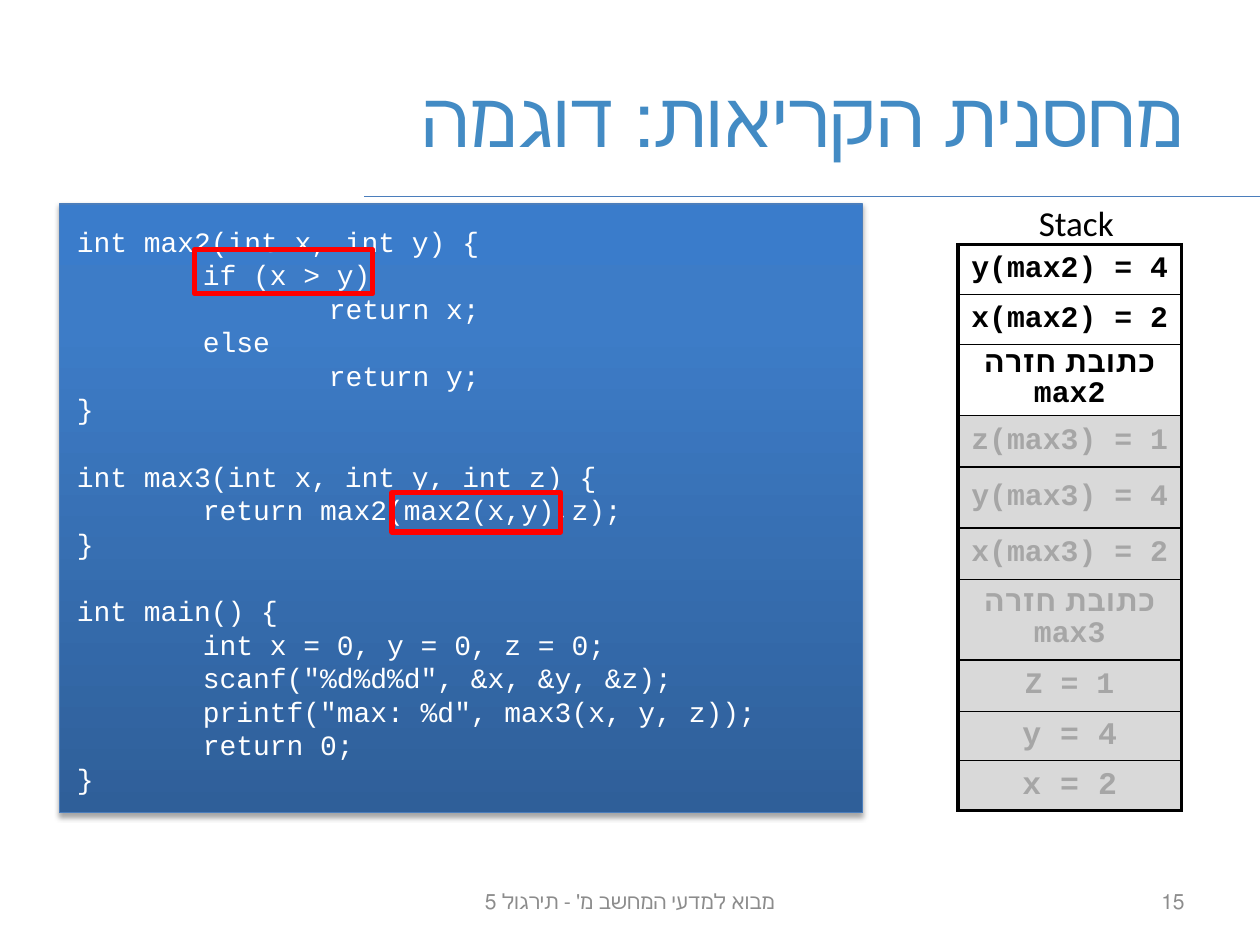
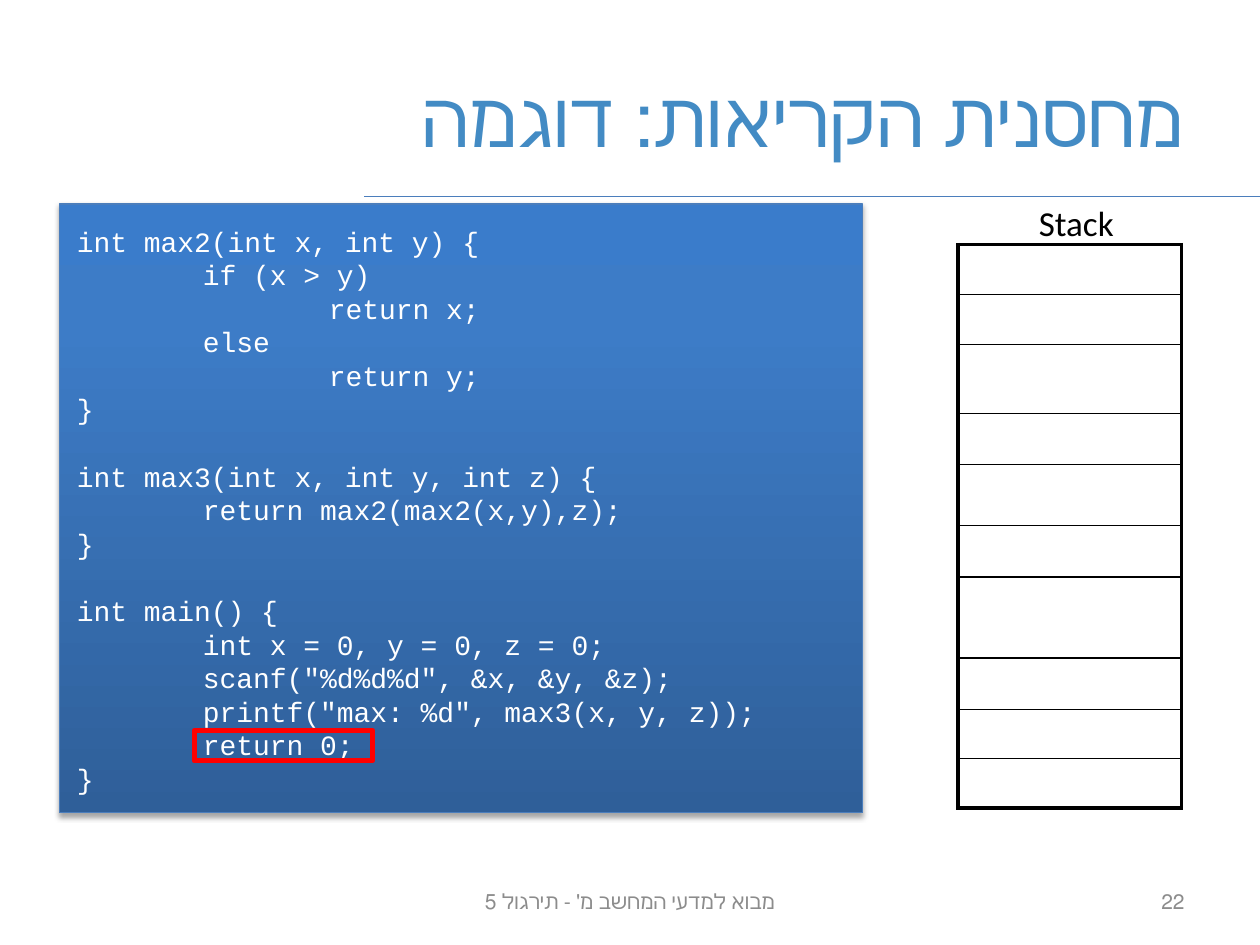
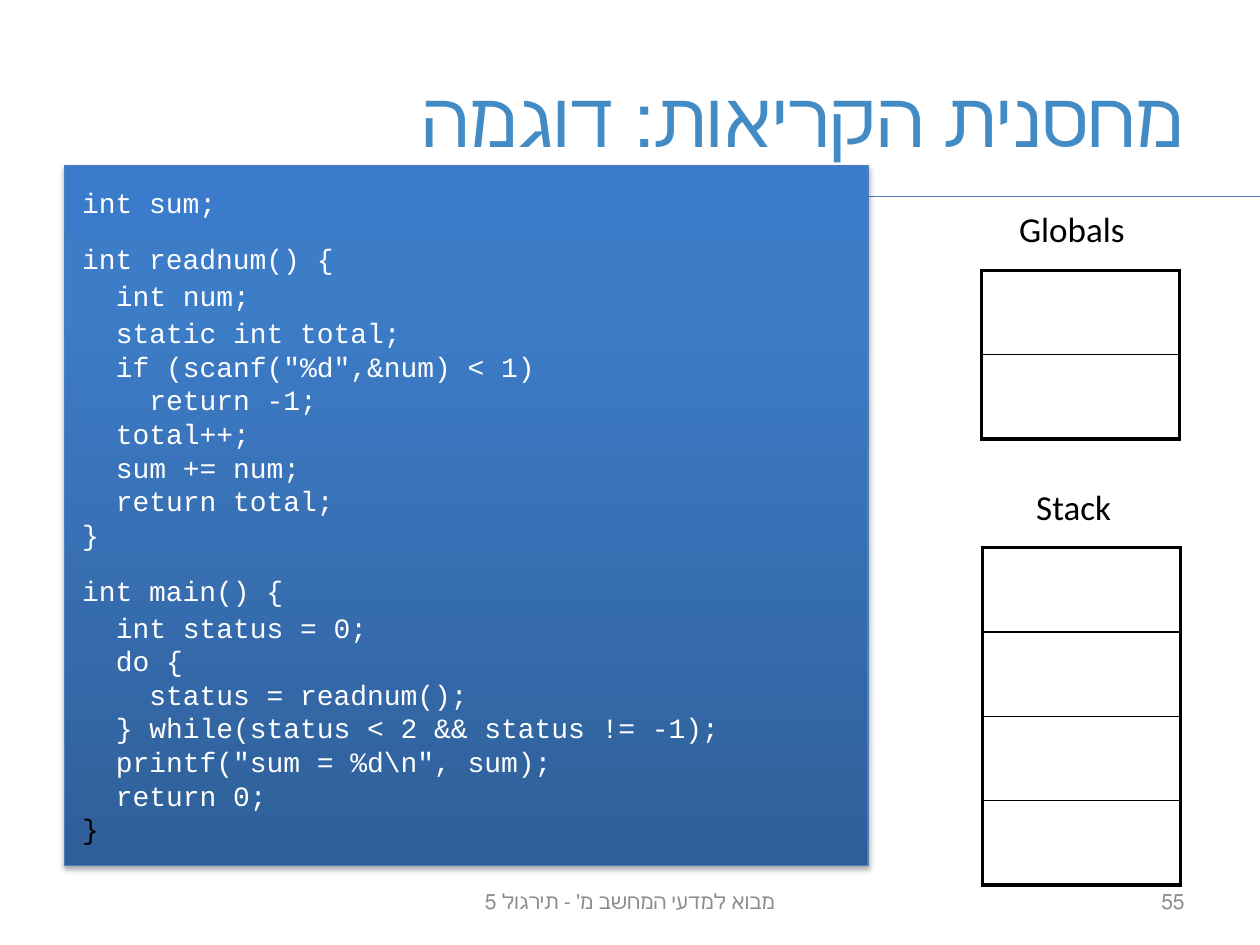
from lxml import etree
from pptx import Presentation
from pptx.dml.color import RGBColor
from pptx.enum.shapes import MSO_CONNECTOR, MSO_SHAPE
from pptx.enum.text import MSO_ANCHOR, PP_ALIGN
from pptx.oxml import parse_xml
from pptx.oxml.ns import nsdecls, qn
from pptx.util import Pt

STRAIGHT = MSO_CONNECTOR.STRAIGHT
RECTANGLE = MSO_SHAPE.RECTANGLE
TOP, MIDDLE = MSO_ANCHOR.TOP, MSO_ANCHOR.MIDDLE
LEFT, CENTER, RIGHT = PP_ALIGN.LEFT, PP_ALIGN.CENTER, PP_ALIGN.RIGHT

BLACK = RGBColor(0, 0, 0)
WHITE = RGBColor(255, 255, 255)
RED = RGBColor(255, 0, 0)
TITLE_BLUE = RGBColor(0x43, 0x8B, 0xC4)
LINE_BLUE = RGBColor(0x4B, 0x7E, 0xBC)
FOOTER_GRAY = RGBColor(0x8C, 0x8C, 0x8C)
OLD_TEXT = RGBColor(0xA6, 0xA6, 0xA6)
OLD_FILL = RGBColor(0xD9, 0xD9, 0xD9)
CODE_GRADIENT = ((0, RGBColor(0x2F, 0x5F, 0x99)), (80, RGBColor(0x3D, 0x7C, 0xC7)),
                 (100, RGBColor(0x3A, 0x7C, 0xCB)))

TITLE_FONT = {"name": "Arial", "size": Pt(44)}
FOOTER_FONT = {"name": "Calibri", "size": Pt(12)}
LABEL_FONT = {"name": "Calibri", "size": Pt(20)}
CODE_FONT = {"name": "Courier New", "size": Pt(16)}
CELL_FONT = {"name": "Courier New", "size": Pt(17), "bold": True}
SMALL_CELL_FONT = CELL_FONT | {"size": Pt(18)}

TITLE = "מחסנית הקריאות: דוגמה"
FOOTER = "מבוא למדעי המחשב מ' - תירגול 5"
LINE_PITCH = 19.2

MAX_CODE = """\
int max2(int x, int y) {
  if (x > y)
    return x;
  else
    return y;
}

int max3(int x, int y, int z) {
  return max2(max2(x,y),z);
}

int main() {
  int x = 0, y = 0, z = 0;
  scanf("%d%d%d", &x, &y, &z);
  printf("max: %d", max3(x, y, z));
  return 0;
}"""

SUM_CODE = """\
int sum;

int readnum() {
  int num;
  static int total;
  if (scanf("%d",&num) < 1)
    return -1;
  total++;
  sum += num;
  return total;
}

int main() {
  int status = 0;
  do {
    status = readnum();
  } while(status < 2 && status != -1);
  printf("sum = %d\\n", sum);
  return 0;
}"""

STACK_HEIGHTS = (28.5, 28.5, 39.5, 29.25, 35, 29.25, 46.25, 29.5, 28, 28.5)
ACTIVE_CALL = ("y(max2) = 4", "x(max2) = 2", "כתובת חזרה max2")
OLD_CALLS = ("z(max3) = 1", "y(max3) = 4", "x(max3) = 2", "כתובת חזרה max3", "Z = 1")
MAIN_VALUES = ("y = 4", "x = 2")
STACK_CELLS = ([(text, CELL_FONT, BLACK, None) for text in ACTIVE_CALL]
               + [(text, CELL_FONT, OLD_TEXT, OLD_FILL) for text in OLD_CALLS]
               + [(text, SMALL_CELL_FONT, OLD_TEXT, OLD_FILL) for text in MAIN_VALUES])


def points(*lengths):
    return [Pt(length) for length in lengths]


def set_all(target, values):
    for name, value in values.items():
        setattr(target, name, value)


def write(para, text, font, color, align=LEFT, rtl=False):
    para.alignment = align
    if rtl:
        para._p.get_or_add_pPr().set("rtl", "1")
    span = para.add_run()
    span.text = text
    set_all(span.font, font)
    span.font.color.rgb = color


def add_text(page, box, text, font, color, align=LEFT, rtl=False, wrap=True, anchor=TOP):
    frame = page.shapes.add_textbox(*points(*box)).text_frame
    set_all(frame, {"word_wrap": wrap, "vertical_anchor": anchor})
    write(frame.paragraphs[0], text, font, color, align, rtl)


def add_page(deck, number):
    page = deck.slides.add_slide(deck.slide_layouts[5])
    rule = page.shapes.add_connector(STRAIGHT, *points(720, 112.5, 208, 112.5))
    rule.line.color.rgb = LINE_BLUE
    rule.line.width = Pt(0.75)
    etree.SubElement(rule._element.spPr, qn("a:effectLst"))
    title = page.shapes.title
    set_all(title, dict(zip(("left", "top", "width", "height"), points(36, 21.6, 648, 90))))
    title.text_frame.vertical_anchor = MIDDLE
    write(title.text_frame.paragraphs[0], TITLE, TITLE_FONT, TITLE_BLUE, RIGHT, True)
    for box, text, align in (((246, 500.5, 228, 28.75), FOOTER, CENTER),
                             ((516, 500.5, 168, 28.75), str(number), RIGHT)):
        add_text(page, box, text, FOOTER_FONT, FOOTER_GRAY, align, True, anchor=MIDDLE)
    return page


def style_panel(panel):
    properties = panel._element.spPr
    stops = "".join(f'<a:gs pos="{place * 1000}"><a:srgbClr val="{color}"/></a:gs>'
                    for place, color in CODE_GRADIENT)
    panel.line.color.rgb = LINE_BLUE
    panel.line.width = Pt(0.75)
    properties.find(qn("a:ln")).addprevious(parse_xml(
        f'<a:gradFill {nsdecls("a")} rotWithShape="1"><a:gsLst>{stops}</a:gsLst>'
        '<a:lin ang="16200000" scaled="0"/></a:gradFill>'))
    properties.append(parse_xml(
        f'<a:effectLst {nsdecls("a")}><a:outerShdw blurRad="{Pt(3.1)}" dist="{Pt(1.8)}" '
        'dir="5400000" rotWithShape="0"><a:srgbClr val="000000"><a:alpha val="35000"/>'
        '</a:srgbClr></a:outerShdw></a:effectLst>'))


def add_code(page, box, code, indent, gap, spaced=(), last_color=WHITE):
    panel = page.shapes.add_shape(RECTANGLE, *points(*box))
    style_panel(panel)
    frame = panel.text_frame
    set_all(frame, {"word_wrap": True, "vertical_anchor": TOP,
                    "margin_left": Pt(10), "margin_right": Pt(10),
                    "margin_top": Pt(11.5), "margin_bottom": Pt(6.5)})
    lines = code.split("\n")
    para = frame.paragraphs[0]
    before = 0
    for index, line in enumerate(lines):
        text = line.strip()
        if not text:
            before = gap
            continue
        if index:
            para = frame.add_paragraph()
        if text in spaced:
            before = 1.9
        level = (len(line) - len(text)) // 2
        para._p.get_or_add_pPr().set("marL", str(Pt(level * indent)))
        set_all(para, {"line_spacing": Pt(LINE_PITCH), "space_before": Pt(before)})
        color = last_color if index == len(lines) - 1 else WHITE
        write(para, text, CODE_FONT, color)
        before = 0


def set_borders(cell, first, last):
    properties = cell._tc.get_or_add_tcPr()
    widths = {"lnL": 2.25, "lnR": 2.25, "lnT": 2.25 if first else 1, "lnB": 2.25 if last else 1}
    for place, (side, width) in enumerate(widths.items()):
        properties.insert(place, parse_xml(
            f'<a:{side} {nsdecls("a")} w="{Pt(width)}"><a:solidFill>'
            f'<a:srgbClr val="{BLACK}"/></a:solidFill></a:{side}>'))


def add_memory(page, left, top, width, heights, cells=()):
    count = len(heights)
    frame = page.shapes.add_table(count, 1, *points(left, top, width, sum(heights)))
    table = frame.table
    set_all(table, {"first_row": False, "horz_banding": False})
    for index, height in enumerate(heights):
        table.rows[index].height = Pt(height)
        cell = table.cell(index, 0)
        set_all(cell, {"margin_left": 0, "margin_right": 0, "margin_top": 0,
                       "margin_bottom": 0, "vertical_anchor": MIDDLE})
        cell.fill.background()
        if cells:
            text, font, color, fill = cells[index]
            write(cell.text_frame.paragraphs[0], text, font, color, CENTER)
            if fill:
                cell.fill.solid()
                cell.fill.fore_color.rgb = fill
        set_borders(cell, index == 0, index == count - 1)


def add_label(page, box, text):
    add_text(page, box, text, LABEL_FONT, BLACK, wrap=False)


def add_marker(page, box):
    marker = page.shapes.add_shape(RECTANGLE, *points(*box))
    marker.shadow.inherit = False
    marker.fill.background()
    marker.line.color.rgb = RED
    marker.line.width = Pt(3)


def add_max_page(deck, number, markers, cells=()):
    page = add_page(deck, number)
    add_code(page, (34, 116.5, 459, 348), MAX_CODE, 72, LINE_PITCH)
    add_memory(page, 547.5, 139.75, 127.5, STACK_HEIGHTS, cells)
    add_label(page, (586.5, 111.75, 65, 31), "Stack")
    for marker in markers:
        add_marker(page, marker)


def add_sum_page(deck, number):
    page = add_page(deck, number)
    for text, label_box, left, top, count in (
            ("Stack", (585, 273.75, 65, 31), 561.5, 313, 4),
            ("Globals", (575.25, 115.25, 82, 31), 561, 154.5, 2)):
        add_memory(page, left, top, 113, [48.2] * count)
        add_label(page, label_box, text)
    add_code(page, (37, 94.75, 459, 399.75), SUM_CODE, 19.2, 12.8,
             ("int num;", "static int total;", "int status = 0;"), BLACK)


def main():
    deck = Presentation()
    deck.slide_width, deck.slide_height = points(720, 540)
    add_max_page(deck, 15, ((224, 281.5, 96.5, 22.5), (111, 142.75, 102, 25)), STACK_CELLS)
    add_max_page(deck, 22, ((111, 417.5, 102, 17.25),))
    add_sum_page(deck, 55)
    deck.save("out.pptx")


if __name__ == "__main__":
    main()
